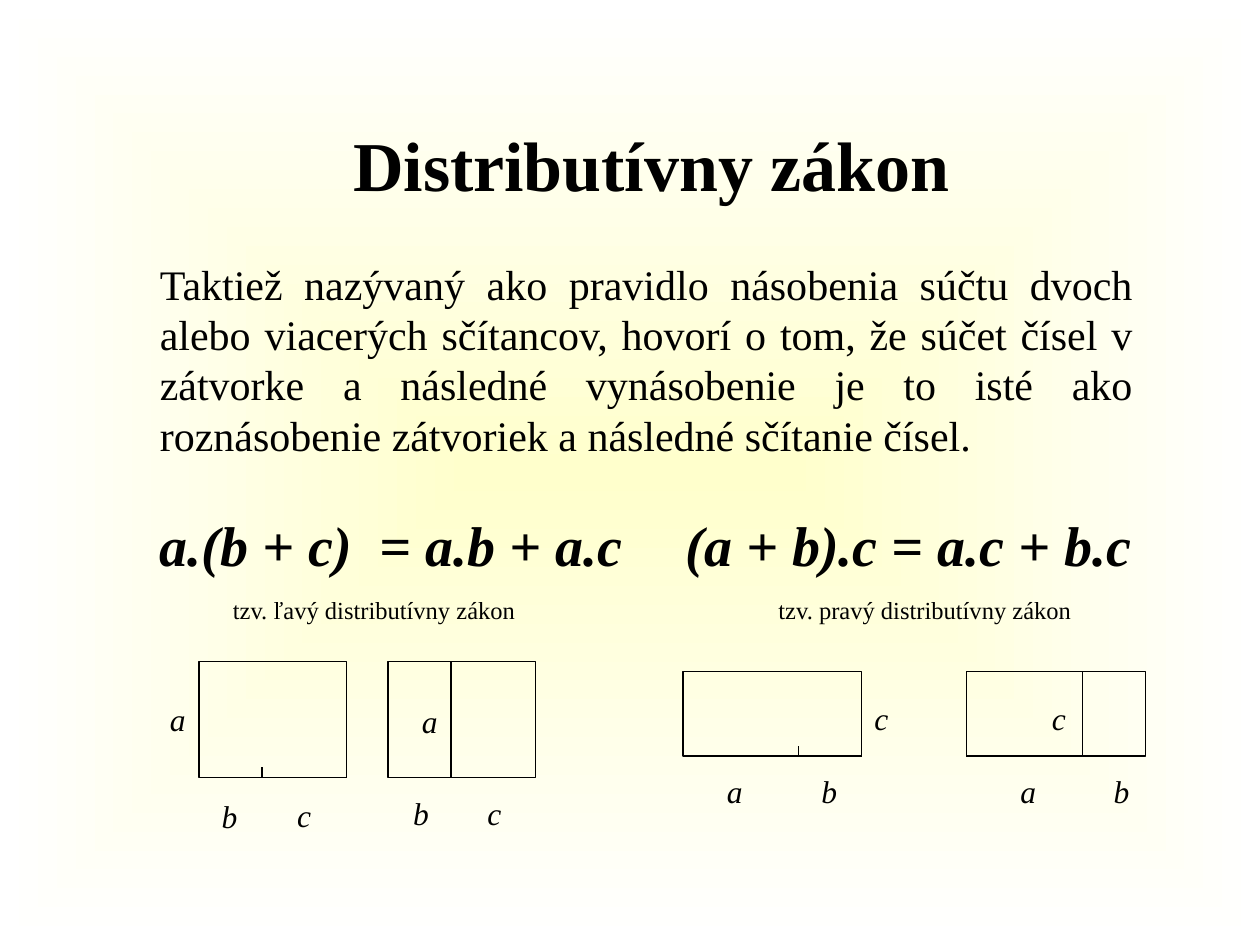
import pptx
import pptx.dml.color
import pptx.enum.shapes
import pptx.enum.text
import pptx.oxml
import pptx.oxml.ns
import pptx.util
from pptx.util import Inches

FONT = "Times New Roman"
INK = "000000"
ALIGN = pptx.enum.text.PP_ALIGN


def colour(hex_value):
    return pptx.dml.color.RGBColor.from_string(hex_value)


def write(frame, text, size, align=ALIGN.LEFT, bold=False, italic=False):
    frame.text = text
    paragraph = frame.paragraphs[0]
    paragraph.alignment = align
    font = paragraph.runs[0].font
    font.name, font.size = FONT, pptx.util.Pt(size)
    font.bold, font.italic = bold, italic
    font.color.rgb = colour(INK)


def add_text(slide, box, text, size, wrap=True, **style):
    frame = slide.shapes.add_textbox(*map(Inches, box)).text_frame
    frame.word_wrap = wrap
    frame.auto_size = pptx.enum.text.MSO_AUTO_SIZE.SHAPE_TO_FIT_TEXT
    write(frame, text, size, **style)


def add_line(slide, *ends):
    line = slide.shapes.add_connector(
        pptx.enum.shapes.MSO_CONNECTOR.STRAIGHT, *map(Inches, ends))
    line.line.color.rgb = colour(INK)
    line.line.width = pptx.util.Pt(0.75)
    line.element.spPr.append(pptx.oxml.parse_xml(
        f"<a:effectLst {pptx.oxml.ns.nsdecls('a')}/>"))


def add_rectangle(slide, box):
    rectangle = slide.shapes.add_shape(
        pptx.enum.shapes.MSO_SHAPE.RECTANGLE, *map(Inches, box))
    rectangle.shadow.inherit = False
    rectangle.fill.background()
    rectangle.line.color.rgb = colour(INK)
    rectangle.line.width = pptx.util.Pt(0.75)


def set_background(slide, centre, edge):
    """Fill the background with a gradient spreading from the slide's centre."""
    fill = slide.background.fill
    fill.gradient()
    for stop, hex_value in zip(fill.gradient_stops, (centre, edge)):
        stop.color.rgb = colour(hex_value)
    linear = slide.element.find(".//" + pptx.oxml.ns.qn("a:lin"))
    linear.getparent().replace(linear, pptx.oxml.parse_xml(
        f'<a:path {pptx.oxml.ns.nsdecls("a")} path="rect">'
        '<a:fillToRect l="50000" t="50000" r="50000" b="50000"/></a:path>'))


def add_title(slide, box, text):
    title = slide.shapes.title
    title.left, title.top, title.width, title.height = map(Inches, box)
    title.text_frame.vertical_anchor = pptx.enum.text.MSO_ANCHOR.MIDDLE
    write(title.text_frame, text, 40, align=ALIGN.CENTER, bold=True)


def add_area(slide, box, split, divided, labels):
    """Draw a product as an area whose base is split into two addends.

    Labels are (letter, x, y), measured from the top left of the box.
    """
    left, top, width, height = box
    middle, right, bottom = left + split, left + width, top + height
    if divided:
        add_rectangle(slide, (left, top, split, height))
        add_rectangle(slide, (middle, top, width - split, height))
    else:
        add_rectangle(slide, box)
        add_line(slide, middle, bottom, middle, bottom - 0.08)
        add_line(slide, middle, bottom, right, bottom)
    add_line(slide, left, bottom, middle, bottom)
    for letter, x, y in labels:
        add_text(slide, (left + x, top + y, 0.32, 0.4), letter, 18,
                 wrap=False, italic=True)


def add_left_law(slide, left, top):
    add_text(slide, (left, top, 3.92, 0.64), "a.(b + c)  = a.b + a.c", 32,
             bold=True, italic=True)
    add_text(slide, (left + 0.58, top + 0.67, 2.67, 0.34),
             "tzv. ľavý distributívny zákon", 14)
    add_area(slide, (left + 0.41, top + 1.25, 1.17, 0.92), 0.5, False,
             [("a", -0.33, 0.26), ("b", 0.08, 1.03), ("c", 0.68, 1.02)])
    add_area(slide, (left + 1.91, top + 1.25, 1.17, 0.92), 0.5, True,
             [("a", 0.17, 0.27), ("b", 0.1, 1), ("c", 0.69, 1)])


def add_right_law(slide, left, top):
    add_text(slide, (left, top, 3.83, 0.64), "(a + b).c = a.c + b.c", 32,
             align=ALIGN.RIGHT, bold=True, italic=True)
    add_text(slide, (left + 0.83, top + 0.67, 2.66, 0.34),
             "tzv. pravý distributívny zákon", 14)
    add_area(slide, (left + 0.17, top + 1.33, 1.42, 0.67), 0.92, False,
             [("a", 0.25, 0.75), ("b", 1, 0.75), ("c", 1.42, 0.17)])
    add_area(slide, (left + 2.42, top + 1.33, 1.42, 0.67), 0.92, True,
             [("a", 0.33, 0.75), ("b", 1.07, 0.75), ("c", 0.58, 0.17)])


def main():
    deck = pptx.Presentation()
    deck.slide_width, deck.slide_height = Inches(10), Inches(7.5)
    slide = deck.slides.add_slide(deck.slide_layouts.get_by_name("Title Only"))
    set_background(slide, "FFFFCC", "FFFFFF")
    add_title(slide, (0.92, 0.67, 8.5, 1.25), "Distributívny zákon")
    add_text(slide, (1.17, 2, 7.92, 1.7),
             "Taktiež nazývaný ako pravidlo násobenia súčtu dvoch alebo "
             "viacerých sčítancov, hovorí o tom, že súčet čísel v zátvorke "
             "a následné vynásobenie je to isté ako roznásobenie zátvoriek "
             "a následné sčítanie čísel.", 24, align=ALIGN.JUSTIFY)
    add_left_law(slide, 1.17, 4)
    add_right_law(slide, 5.25, 4)
    deck.save("out.pptx")


if __name__ == "__main__":
    main()
